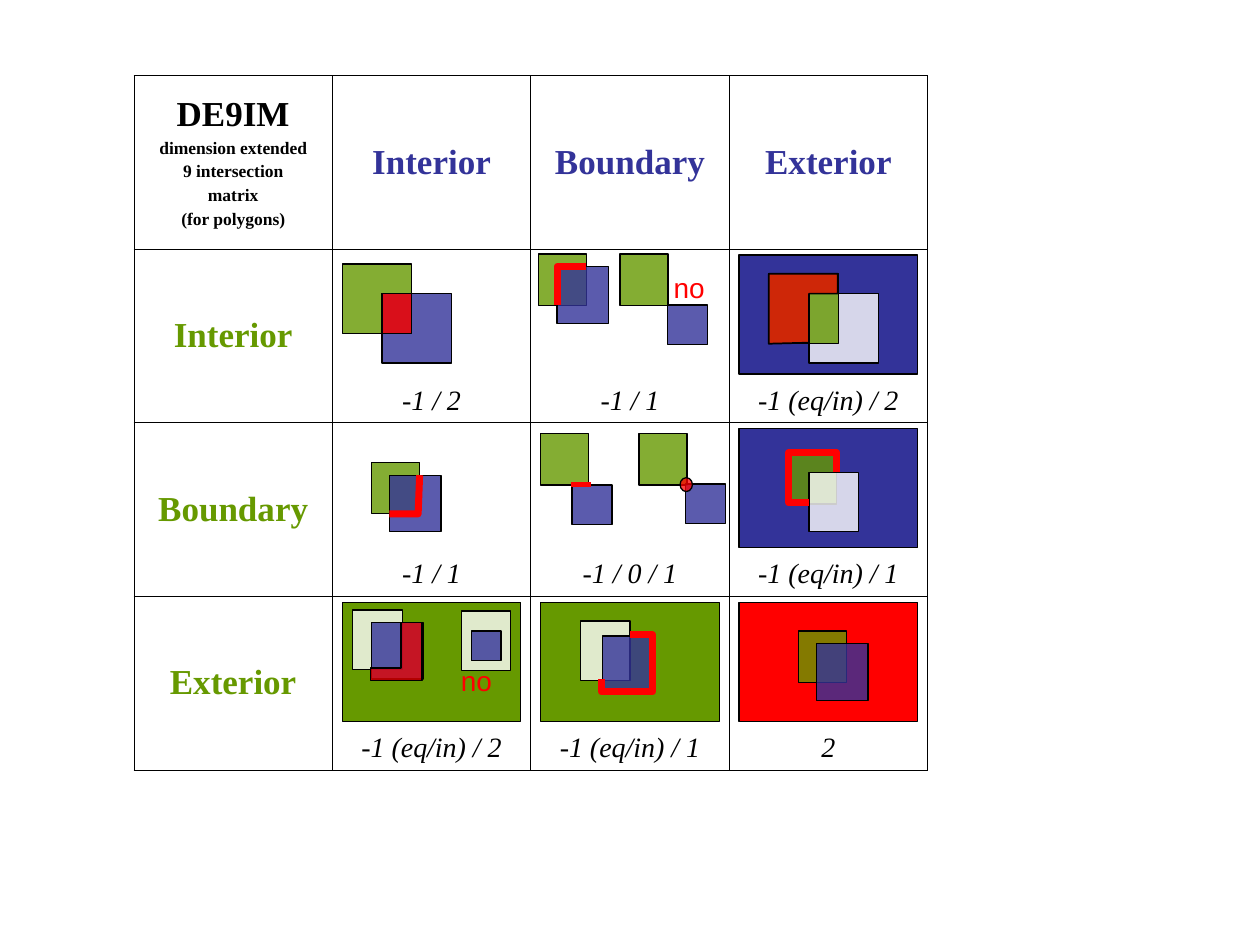
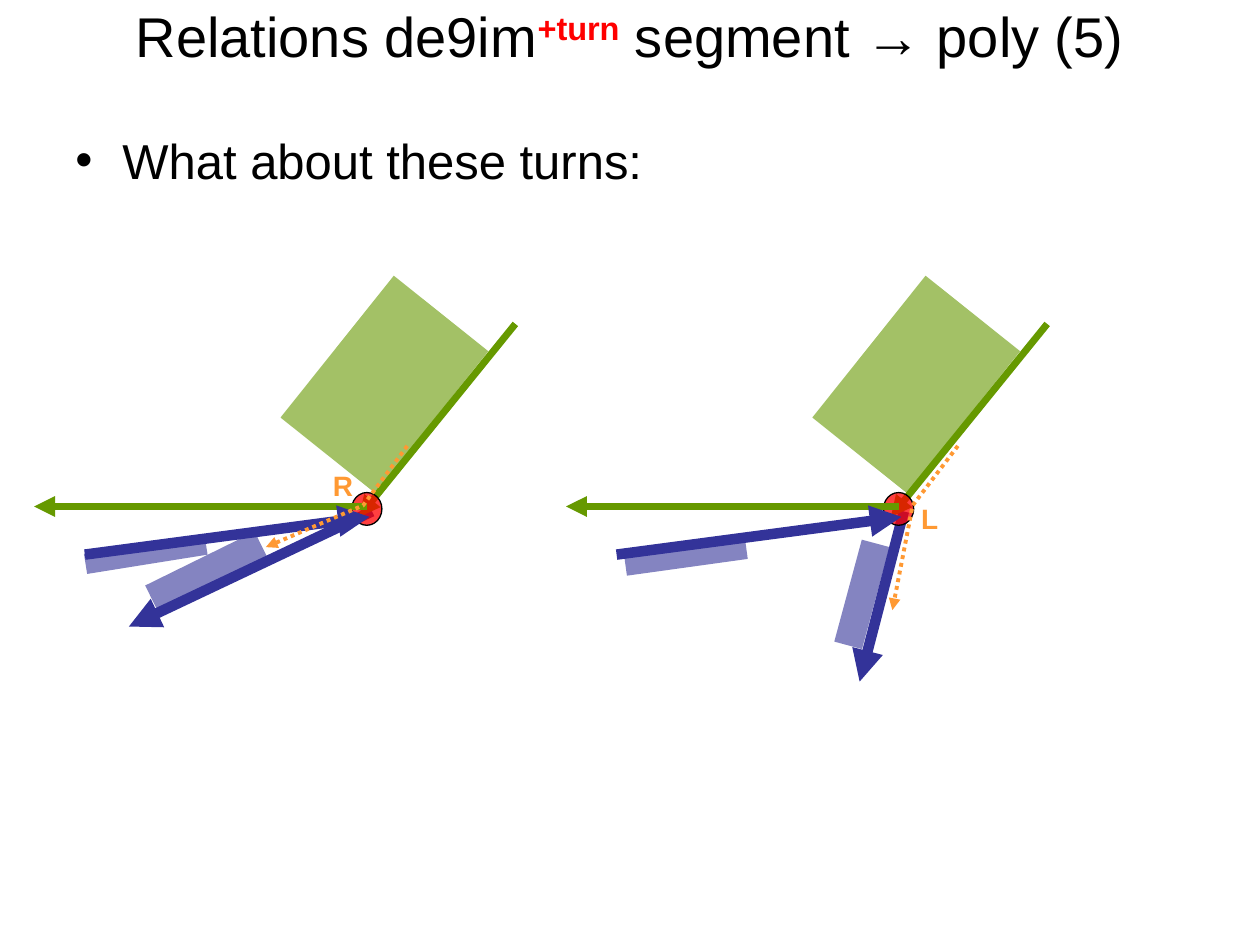
from dataclasses import dataclass

from lxml.etree import SubElement
from pptx import Presentation
from pptx.dml.color import RGBColor
from pptx.enum.dml import MSO_LINE
from pptx.enum.shapes import MSO_CONNECTOR, MSO_SHAPE
from pptx.enum.text import MSO_ANCHOR, MSO_AUTO_SIZE, PP_ALIGN
from pptx.oxml.ns import qn
from pptx.util import Cm, Pt


@dataclass(frozen=True)
class Theme:
    green: str = "669900"
    blue: str = "333399"
    red: str = "FF0000"
    orange: str = "FF9933"
    white: str = "FFFFFF"
    black: str = "000000"
    sans: str = "Arial"
    serif: str = "Times New Roman"
    title: float = 32
    body: float = 28
    heading: float = 20
    value: float = 16
    note: float = 10
    thin: float = 0.75
    mark: float = 4
    segment: float = 6


T = Theme()
GRID_LEFT, GRID_TOP, COL_W, ROW_H = 2.7, 1.52, 4, 3.5
SMALL = (0.97, 1.04)
MEDIUM = (1.04, 1.14)
LARGE = (1.4, 1.4)
TALL = (1, 1.2)
TINY = (0.81, 0.79)


def rgb(color):
    return RGBColor.from_string(color)


def style_run(r, size, color, font=T.sans, bold=False, italic=False):
    r.font.size, r.font.name = Pt(size), font
    r.font.bold, r.font.italic = bold, italic
    r.font.color.rgb = rgb(color)


def style_line(sp, color, width, arrow=False, dotted=False):
    sp.line.color.rgb = rgb(color)
    sp.line.width = Pt(width)
    if dotted:
        sp.line.dash_style = MSO_LINE.ROUND_DOT
    if arrow:
        ln = sp._element.spPr.find(qn("a:ln"))
        SubElement(ln, qn("a:tailEnd"), type="triangle")


def style_fill(sp, color, opacity):
    sp.fill.solid()
    sp.fill.fore_color.rgb = rgb(color)
    if opacity < 100:
        clr = sp._element.spPr.find(qn("a:solidFill"))[0]
        SubElement(clr, qn("a:alpha"), val=str(opacity * 1000))


@dataclass
class Box:
    shapes: object
    left: float
    top: float

    def at(self, x, y):
        return Cm(self.left + x), Cm(self.top + y)

    def area(self, x, y, size, color, opacity=80, outline=True, angle=0, kind=MSO_SHAPE.RECTANGLE):
        sp = self.shapes.add_shape(kind, *self.at(x, y), *map(Cm, size))
        sp.shadow.inherit = False
        sp.rotation = angle
        style_fill(sp, color, opacity)
        if outline:
            style_line(sp, T.black, T.thin)
        else:
            sp.line.fill.background()

    def panel(self, color):
        self.area(0.2, 0.12, (3.6, 2.4), color, 100)

    def point(self, x, y, size):
        self.area(x, y, size, T.red, 75, kind=MSO_SHAPE.OVAL)

    def freeform(self, points, closed):
        start, *rest = [self.at(*pt) for pt in points]
        builder = self.shapes.build_freeform(*start)
        builder.add_line_segments(rest, close=closed)
        sp = builder.convert_to_shape()
        sp.shadow.inherit = False
        return sp

    def trace(self, *points, color=T.red, width=T.mark, **line):
        sp = self.freeform(points, False)
        sp.fill.background()
        style_line(sp, color, width, **line)

    def region(self, *points):
        sp = self.freeform(points, True)
        style_fill(sp, T.red, 70)
        style_line(sp, T.black, 1)

    def line(self, start, end, color, width, arrow=True):
        cn = self.shapes.add_connector(MSO_CONNECTOR.STRAIGHT, *self.at(*start), *self.at(*end))
        SubElement(cn._element.spPr, qn("a:effectLst"))
        style_line(cn, color, width, arrow)

    def label(self, x, y, width, text, color, bold=False):
        sp = self.shapes.add_textbox(*self.at(x, y), Cm(width), Cm(0.94))
        tf = sp.text_frame
        tf.word_wrap = False
        tf.auto_size = MSO_AUTO_SIZE.SHAPE_TO_FIT_TEXT
        p = tf.paragraphs[0]
        p.text = text
        style_run(p.runs[0], T.value, color, bold=bold)


def interior_interior(box):
    box.area(0.2, 0.3, LARGE, T.green)
    box.area(1, 0.9, LARGE, T.blue)
    box.area(1, 0.9, (0.6, 0.8), T.red)


def interior_boundary(box):
    box.area(0.15, 0.1, SMALL, T.green)
    box.area(0.53, 0.36, MEDIUM, T.blue)
    box.trace((0.53, 1.13), (0.53, 0.35), (1.12, 0.35))
    box.area(1.8, 0.1, SMALL, T.green)
    box.area(2.76, 1.13, TINY, T.blue)
    box.label(2.63, 0.31, 1.25, "no", T.red)


def interior_exterior(box):
    box.panel(T.blue)
    box.area(1.61, 0.9, LARGE, T.white)
    box.area(0.8, 0.5, LARGE, T.green)
    box.region((2.19, 0.9), (2.19, 0.5), (0.8, 0.5), (0.8, 1.91), (1.61, 1.89), (1.61, 0.9))


def boundary_interior(box):
    box.area(0.79, 0.8, SMALL, T.green)
    box.area(1.15, 1.06, MEDIUM, T.blue)
    box.trace((1.15, 1.84), (1.73, 1.84), (1.76, 1.06))


def boundary_boundary(box):
    box.area(2.18, 0.22, SMALL, T.green)
    box.area(3.12, 1.24, TINY, T.blue)
    box.area(0.2, 0.22, SMALL, T.green)
    box.area(0.83, 1.26, TINY, T.blue)
    box.point(3.01, 1.11, (0.25, 0.28))
    box.line((0.81, 1.24), (1.21, 1.24), T.red, 3, arrow=False)


def boundary_exterior(box):
    box.panel(T.blue)
    box.area(1.2, 0.6, SMALL, T.green)
    box.area(1.61, 1, TALL, T.white)
    box.trace((2.17, 1), (2.17, 0.6), (1.2, 0.6), (1.2, 1.62), (1.61, 1.62))


def exterior_interior(box):
    box.panel(T.green)
    box.area(0.41, 0.28, TALL, T.white)
    box.area(0.79, 0.53, MEDIUM, T.blue)
    box.region((1.81, 0.53), (1.38, 0.53), (1.38, 1.44), (0.77, 1.44), (0.77, 1.7), (1.81, 1.7))
    box.area(2.6, 0.3, TALL, T.white)
    box.area(2.8, 0.7, (0.6, 0.6), T.blue)
    box.label(2.34, 1.24, 1.25, "no", T.red)


def exterior_boundary(box):
    box.panel(T.green)
    box.area(1, 0.5, TALL, T.white)
    box.area(1.44, 0.8, MEDIUM, T.blue)
    box.trace((2, 0.78), (2.46, 0.78), (2.46, 1.93), (1.42, 1.93), (1.42, 1.67))


def exterior_exterior(box):
    box.panel(T.red)
    box.area(1.4, 0.7, SMALL, T.green)
    box.area(1.76, 0.96, MEDIUM, T.blue)


PARTS = ["Interior", "Boundary", "Exterior"]
VALUES = [
    ["-1 / 2", "-1 / 1", "-1 (eq/in) / 2"],
    ["-1 / 1", "-1 / 0 / 1", "-1 (eq/in) / 1"],
    ["-1 (eq/in) / 2", "-1 (eq/in) / 1", "2"],
]
DIAGRAMS = [
    [interior_interior, interior_boundary, interior_exterior],
    [boundary_interior, boundary_boundary, boundary_exterior],
    [exterior_interior, exterior_boundary, exterior_exterior],
]
CORNER = "DE9IM\ndimension extended\n9 intersection\nmatrix\n(for polygons)"


def border_cell(cell):
    tc_pr = cell._tc.get_or_add_tcPr()
    for side in ("lnL", "lnR", "lnT", "lnB"):
        ln = SubElement(tc_pr, qn(f"a:{side}"), w=str(Pt(0.45)))
        SubElement(SubElement(ln, qn("a:solidFill")), qn("a:srgbClr"), val=T.black)
    cell.fill.background()


def fill_cell(cell, text, color, size=T.heading, is_value=False):
    border_cell(cell)
    cell.vertical_anchor = MSO_ANCHOR.BOTTOM if is_value else MSO_ANCHOR.MIDDLE
    cell.text_frame.text = text
    for i, p in enumerate(cell.text_frame.paragraphs):
        p_size = T.note if i else size
        p.alignment = PP_ALIGN.CENTER
        p.space_before = Pt(p_size / 4)
        style_run(p.runs[0], p_size, color, T.serif, not is_value, is_value)


def add_matrix(shapes):
    table = shapes.add_table(
        4, 4, Cm(GRID_LEFT), Cm(GRID_TOP), Cm(4 * COL_W), Cm(4 * ROW_H)
    ).table
    table.first_row = table.horz_banding = False
    for row in table.rows:
        row.height = Cm(ROW_H)
    fill_cell(table.cell(0, 0), CORNER, T.black)
    for i, part in enumerate(PARTS, 1):
        fill_cell(table.cell(0, i), part, T.blue)
        fill_cell(table.cell(i, 0), part, T.green)
        for j, value in enumerate(VALUES[i - 1], 1):
            fill_cell(table.cell(i, j), value, T.black, T.value, True)


def build_matrix_slide(prs):
    shapes = prs.slides.add_slide(prs.slide_layouts[6]).shapes
    add_matrix(shapes)
    for i, row in enumerate(DIAGRAMS, 1):
        for j, draw in enumerate(row, 1):
            draw(Box(shapes, GRID_LEFT + j * COL_W, GRID_TOP + i * ROW_H))


def add_title(sp):
    sp.left, sp.top, sp.width, sp.height = Cm(0), Cm(-0.89), Cm(25.4), Cm(3.18)
    tf = sp.text_frame
    tf.auto_size = MSO_AUTO_SIZE.NONE
    tf.vertical_anchor = MSO_ANCHOR.MIDDLE
    p = tf.paragraphs[0]
    p.alignment = PP_ALIGN.CENTER
    for text in ("Relations de9im", "+turn", " segment → poly (5)"):
        r = p.add_run()
        r.text = text
        raised = text == "+turn"
        style_run(r, T.title, T.red if raised else T.black, bold=raised)
        if raised:
            r.font._element.set("baseline", "30000")


def add_question(shapes):
    sp = shapes.add_textbox(Cm(1.27), Cm(2.51), Cm(22.86), Cm(2.41))
    sp.text_frame.word_wrap = True
    p = sp.text_frame.paragraphs[0]
    p.text = "What about these turns:"
    p.space_before = Pt(7)
    style_run(p.runs[0], T.body, T.black)
    p_pr = p._p.get_or_add_pPr()
    p_pr.set("marL", str(Cm(0.95)))
    p_pr.set("indent", str(-Cm(0.95)))
    SubElement(p_pr, qn("a:buFont"), typeface=T.sans)
    SubElement(p_pr, qn("a:buChar"), char="•")


def draw_turn(box, leaving_end, leaving_band, entering_band, turn, label):
    box.line((6.81, 4.39), leaving_end, T.blue, T.segment)
    box.line((9.7, 0.61), (6.55, 4.5), T.green, T.mark)
    box.point(6.4, 4.01, (0.61, 0.66))
    box.area(5.84, 0, (2.44, 3.66), T.green, 60, False, 38.6)
    x, y, size, angle = leaving_band
    box.area(x, y, size, T.blue, 60, False, angle)
    box.line((6.71, 4.29), (0, 4.29), T.green, T.mark)
    box.line((1.02, 5.26), (6.76, 4.5), T.blue, T.segment)
    box.trace(*turn, color=T.orange, width=2.25, arrow=True, dotted=True)
    box.label(*label, T.orange, True)
    x, y, angle = entering_band
    box.area(x, y, (2.46, 0.41), T.blue, 60, False, angle)


TURNS = [
    dict(leaving_end=(1.91, 6.71), leaving_band=(2.24, 5.31, (2.46, 0.58), 333.8),
         entering_band=(1.02, 5.05, 350.9), turn=[(7.52, 3.07), (6.63, 4.27), (4.67, 5.11)],
         label=(5.77, 3.4, 0.91, "R")),
    dict(leaving_end=(5.92, 7.82), leaving_band=(4.9, 5.77, (2.13, 0.58), 285.1),
         entering_band=(1.19, 5.11, 352.1), turn=[(7.9, 3.07), (6.99, 4.27), (6.58, 6.38)],
         label=(6.91, 4.06, 0.84, "L")),
]


def build_turns_slide(prs):
    shapes = prs.slides.add_slide(prs.slide_layouts[5]).shapes
    add_title(shapes.title)
    add_question(shapes)
    for i, turn in enumerate(TURNS):
        draw_turn(Box(shapes, 0.69 + i * 10.72, 5.92), **turn)


def main():
    prs = Presentation()
    prs.slide_width, prs.slide_height = Cm(25.4), Cm(19.05)
    build_matrix_slide(prs)
    build_turns_slide(prs)
    prs.save("out.pptx")


if __name__ == "__main__":
    main()
